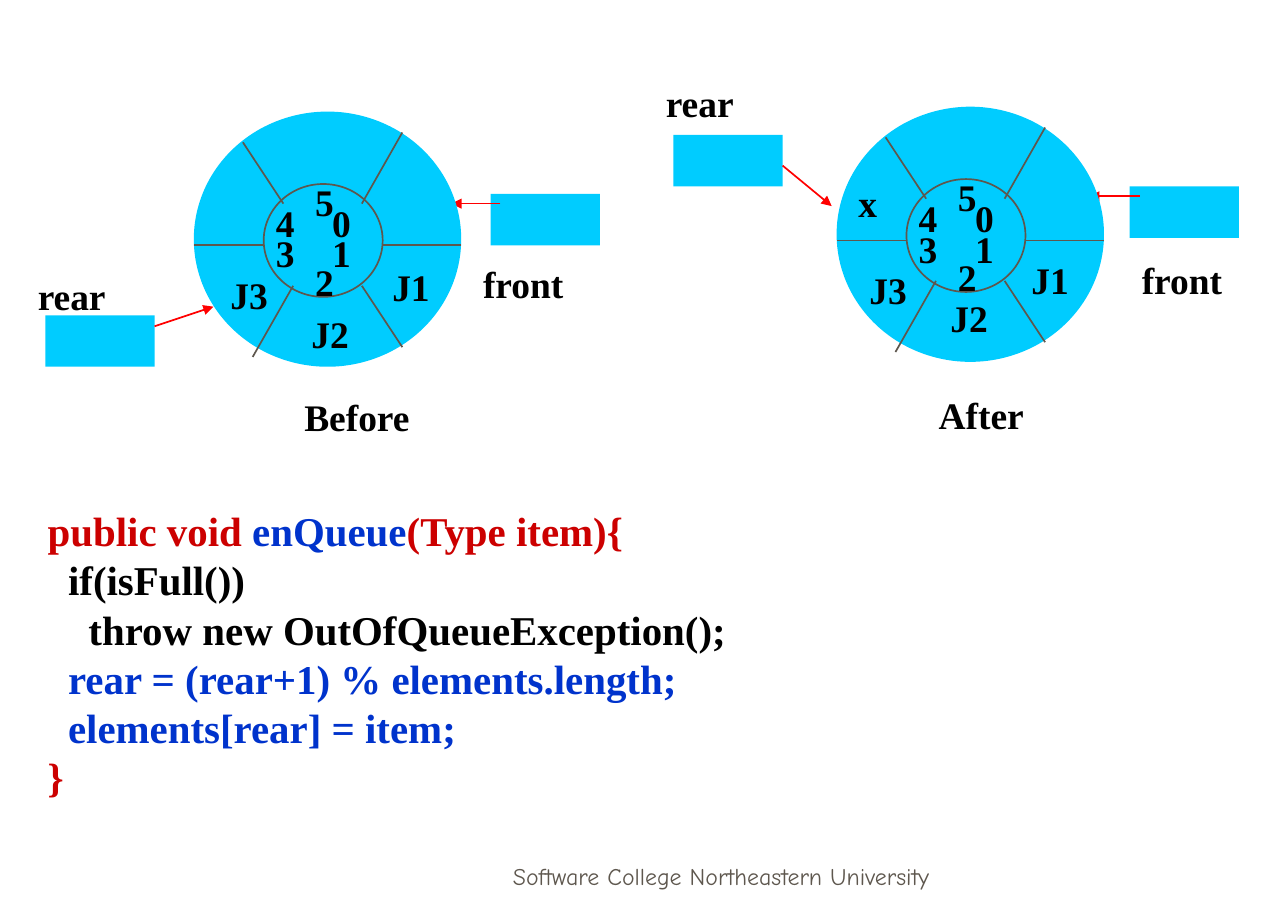
from dataclasses import dataclass

import lxml.etree
import pptx
import pptx.dml.color
import pptx.enum.shapes
import pptx.enum.text
import pptx.oxml
import pptx.oxml.ns
import pptx.util

Inches = pptx.util.Inches
MSO_SHAPE = pptx.enum.shapes.MSO_SHAPE
ALIGN = pptx.enum.text.PP_ALIGN
ANCHOR = pptx.enum.text.MSO_ANCHOR

COLORS = {
    "cyan": "00CCFF", "grey": "5E574E", "arrow": "FF0000", "black": "000000",
    "white": "FFFFFF", "red": "CC0000", "blue": "0033CC",
}
SERIF = "Times New Roman"
LINE_RATIO = 1.2  # line height relative to the text size

# Wheel geometry, relative to the wheel's top-left corner
WHEEL_SIZE = (2.18, 2.08)
HUB = (0.57, 0.59, 0.97, 0.92)
SPOKES = [
    (0.57, 1.09, 0, 1.09), (1.54, 1.09, 2.18, 1.09),
    (0.4, 0.25, 0.73, 0.75), (1.7, 0.17, 1.37, 0.75),
    (1.37, 1.42, 1.7, 1.92), (0.81, 1.42, 0.48, 2),
]
INDEXES = [
    ("5", 0.89, 0.5), ("4", 0.57, 0.67), ("0", 1.03, 0.67),
    ("3", 0.57, 0.92), ("1", 1.03, 0.92), ("2", 0.89, 1.15),
]


@dataclass
class Pointer:
    name: str
    label: tuple[float, float]
    box: tuple[float, float]
    arrow: tuple[float, float, float, float]


@dataclass
class Queue:
    wheel: tuple[float, float]
    pointers: list[Pointer]
    items: list[tuple[str, float, float]]
    caption: tuple[str, float, float]


QUEUES = [
    Queue(
        (6.82, 0.87),
        [Pointer("rear", (5.33, 0.6), (5.49, 1.1), (6.38, 1.35, 6.78, 1.68)),
         Pointer("front", (9.21, 2.05), (9.21, 1.52), (9.29, 1.6, 8.88, 1.6))],
        [("J1", 8.31, 2.05), ("J3", 6.99, 2.13), ("J2", 7.65, 2.36), ("x", 6.9, 1.42)],
        ("After", 6.83, 3.15),
    ),
    Queue(
        (1.58, 0.91),
        [Pointer("front", (3.84, 2.08), (4, 1.58), (4.08, 1.66, 3.68, 1.66)),
         Pointer("rear", (0.21, 2.18), (0.37, 2.57), (1.26, 2.66, 1.74, 2.5))],
        [("J1", 3.1, 2.1), ("J3", 1.78, 2.17), ("J2", 2.44, 2.49)],
        ("Before", 1.74, 3.16),
    ),
]

CODE = [
    [("public void ", "red"), ("enQueue", "blue"), ("(Type item){", "red")],
    [("  if(isFull())", "black")],
    [("    throw new OutOfQueueException();", "black")],
    [("  rear = (rear+1) % elements.length;", "blue")],
    [("  elements[rear] = item;", "blue")],
    [("}", "red")],
]


def rgb(name: str) -> pptx.dml.color.RGBColor:
    return pptx.dml.color.RGBColor.from_string(COLORS[name])


def write(sp, lines, *, size=22, font=SERIF, bold=True, align=ALIGN.LEFT,
          anchor=ANCHOR.TOP, ratio=LINE_RATIO) -> None:
    """Fill a shape with lines, each a list of (text, colour) runs."""
    tf = sp.text_frame
    tf.word_wrap = True
    tf.vertical_anchor = anchor
    for i, runs in enumerate(lines):
        p = tf.paragraphs[0] if i == 0 else tf.add_paragraph()
        p.alignment = align
        if ratio:
            p.line_spacing = pptx.util.Pt(round(size * ratio, 1))
        for text, color in runs:
            r = p.add_run()
            r.text = text
            r.font.size = pptx.util.Pt(size)
            r.font.name = font
            r.font.bold = bold
            r.font.color.rgb = rgb(color)


def add_label(shapes, text: str, x: float, y: float, w: float = 0.57,
              h: float = 0.47, color: str = "black", **fmt) -> None:
    sp = shapes.add_textbox(Inches(x), Inches(y), Inches(w), Inches(h))
    write(sp, [[(text, color)]], **fmt)


def add_block(shapes, kind, x: float, y: float, w: float, h: float,
              fill: str = "cyan", line: str | None = None):
    sp = shapes.add_shape(kind, Inches(x), Inches(y), Inches(w), Inches(h))
    sp.shadow.inherit = False
    sp.fill.solid()
    sp.fill.fore_color.rgb = rgb(fill)
    if line:
        sp.line.color.rgb = rgb(line)
        sp.line.width = pptx.util.Pt(1)
    else:
        sp.line.fill.background()
    return sp


def add_line(shapes, x1: float, y1: float, x2: float, y2: float,
             color: str = "grey", arrow: bool = False) -> None:
    sp = shapes.add_connector(pptx.enum.shapes.MSO_CONNECTOR.STRAIGHT,
                              Inches(x1), Inches(y1), Inches(x2), Inches(y2))
    sp.line.color.rgb = rgb(color)
    sp.line.width = pptx.util.Pt(1)
    qn = pptx.oxml.ns.qn
    props = sp._element.spPr
    if arrow:
        lxml.etree.SubElement(props.find(qn("a:ln")), qn("a:tailEnd"), type="triangle")
    lxml.etree.SubElement(props, qn("a:effectLst"))


def add_wheel(shapes, x: float, y: float) -> None:
    group = shapes.add_group_shape().shapes
    add_block(group, MSO_SHAPE.OVAL, x, y, *WHEEL_SIZE)
    hx, hy, hw, hh = HUB
    add_block(group, MSO_SHAPE.OVAL, x + hx, y + hy, hw, hh, line="grey")
    for x1, y1, x2, y2 in SPOKES:
        add_line(group, x + x1, y + y1, x + x2, y + y2)
    for digit, dx, dy in INDEXES:
        add_label(group, digit, x + dx, y + dy, 0.48)


def add_queue(shapes, queue: Queue) -> None:
    for pointer in queue.pointers:
        add_block(shapes, MSO_SHAPE.RECTANGLE, *pointer.box, 0.89, 0.42)
        add_line(shapes, *pointer.arrow, color="arrow", arrow=True)
        add_label(shapes, pointer.name, *pointer.label, 1.2)
    add_wheel(shapes, *queue.wheel)
    for text, x, y in queue.items:
        add_label(shapes, text, x, y)
    add_label(shapes, *queue.caption, 2.34, align=ALIGN.CENTER)


def main() -> None:
    prs = pptx.Presentation()
    prs.slide_width, prs.slide_height = Inches(10.5), Inches(7.5)
    shapes = prs.slides.add_slide(prs.slide_layouts[6]).shapes

    # Circular queues
    for queue in QUEUES:
        add_queue(shapes, queue)

    # Code
    sp = add_block(shapes, MSO_SHAPE.RECTANGLE, 0.29, 3.75, 9.92, 3.15, "white", "white")
    write(sp, CODE, size=24, anchor=ANCHOR.MIDDLE)

    # Footer
    add_label(shapes, "Software College Northeastern University", 3.59, 6.81, 4.58, 0.5,
              "grey", size=14, font="Comic Neue", bold=False, align=ALIGN.CENTER,
              anchor=ANCHOR.BOTTOM, ratio=None)

    prs.save("out.pptx")


if __name__ == "__main__":
    main()
